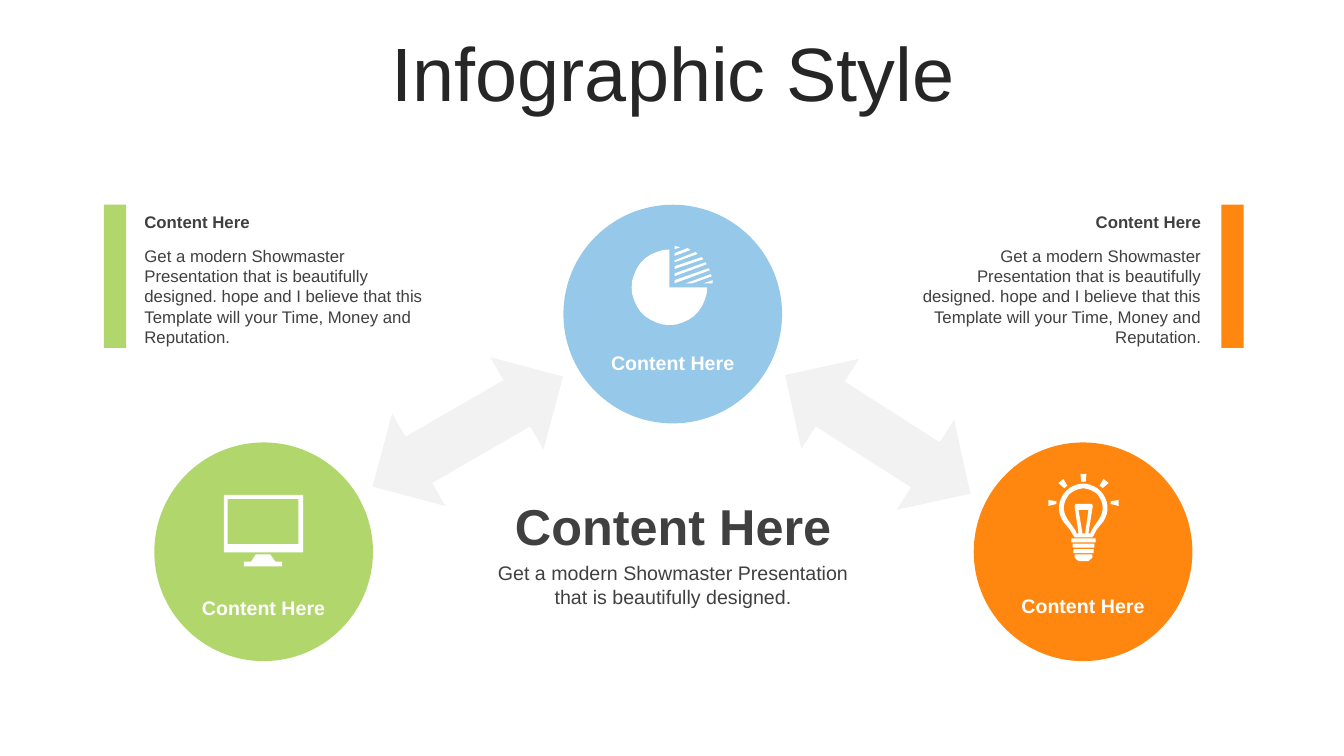
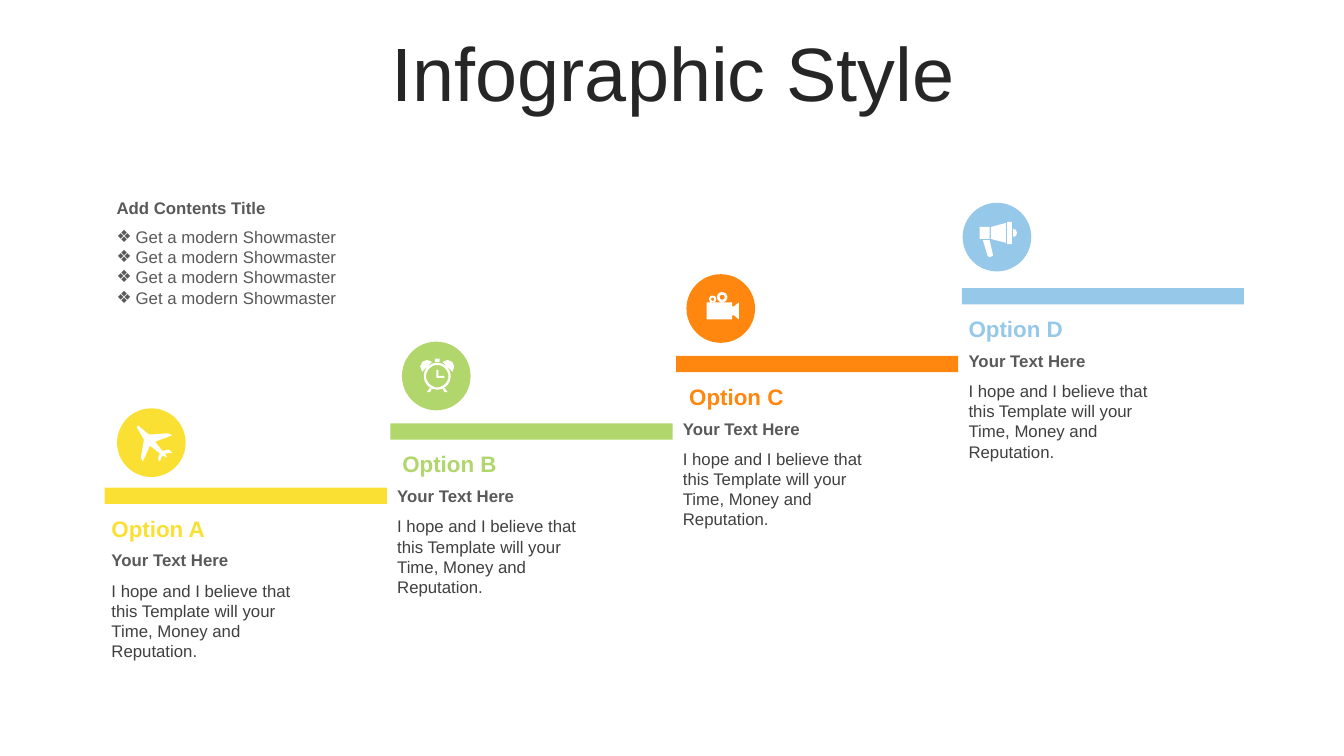
from math import cos, radians, sin

from lxml import etree
from pptx import Presentation
from pptx.dml.color import RGBColor
from pptx.enum.shapes import MSO_SHAPE
from pptx.enum.text import MSO_ANCHOR, PP_ALIGN
from pptx.oxml.ns import qn
from pptx.util import Cm, Pt

RECTANGLE = MSO_SHAPE.RECTANGLE
OVAL = MSO_SHAPE.OVAL
DOUBLE_ARROW = MSO_SHAPE.LEFT_RIGHT_ARROW
TOP = MSO_ANCHOR.TOP
MIDDLE = MSO_ANCHOR.MIDDLE
LEFT = PP_ALIGN.LEFT
CENTER = PP_ALIGN.CENTER
RIGHT = PP_ALIGN.RIGHT

FONT = "Arial"
INK = "262626"
DARK = "404040"
GRAY = "595959"
PALE = "F2F2F2"
WHITE = "FFFFFF"
BLUE = "96C8E9"
GREEN = "B0D66C"
ORANGE = "FF870F"
YELLOW = "FBE034"


def color(value):
    return RGBColor.from_string(value)


def arc(x, y, radius, start=0, end=360, step=10):
    return [(x + radius * cos(radians(angle)), y + radius * sin(radians(angle)))
            for angle in range(start, end + 1, step)]


def rectangle(x, y, width, height):
    return [(x, y), (x + width, y), (x + width, y + height), (x, y + height)]


def mirrored(points, width):
    return [points, [(width - x, y) for x, y in points]]


PIE = [
    arc(94, 104, 95, 0, 270) + [(94, 104)],
    [(203, 86), (203, 94), (180, 94)],
    [(198, 71), (201, 76), (152, 94), (135, 94)],
    [(193, 56), (196, 61), (107, 94), (107, 86)],
    [(185, 41), (188, 46), (107, 76), (107, 69)],
    [(175, 28), (180, 33), (107, 58), (107, 51)],
    [(160, 15), (165, 20), (107, 41), (107, 36)],
    [(140, 5), (147, 10), (107, 25), (107, 18)],
    [(107, 0), (122, 3), (107, 8)],
]
MONITOR = [
    rectangle(0, 0, 200, 145),
    rectangle(10, 10, 178, 114),
    [(81, 150), (117, 150), (130, 168), (147, 168),
     (147, 180), (51, 180), (51, 168), (69, 168)],
]
BULB = [
    arc(91, 86, 61, 135, 405) + [(124, 142), (119, 152), (114, 160),
                                 (69, 160), (64, 152), (58, 142)],
    arc(91, 86, 49, 135, 405) + [(112, 142), (109, 150), (74, 150), (71, 142)],
    [(79, 150), (69, 81), (71, 76), (113, 76), (115, 81), (104, 150)],
    [(79, 91), (89, 150), (96, 150), (104, 91)],
    rectangle(61, 163, 61, 10),
    rectangle(64, 176, 55, 10),
    rectangle(66, 190, 51, 10),
    [(69, 203), (114, 203), (114, 211), (104, 220), (79, 220), (69, 211)],
    [(84, 0), (99, 0), (97, 20), (86, 20)],
    *mirrored([(180, 66), (180, 81), (160, 76), (160, 69)], 183),
    *mirrored([(142, 13), (155, 23), (140, 36), (132, 30)], 183),
]
PLANE = [
    [(89, 69), (71, 71), (76, 81), (64, 76), (58, 91), (53, 84), (58, 71),
     (33, 51), (15, 91), (10, 81), (18, 36), (0, 5), (3, 0), (30, 23),
     (79, 20), (89, 25), (46, 41), (64, 64), (81, 61)],
]
CLOCK = [
    arc(43, 44, 34),
    arc(43, 44, 28),
    [(41, 28), (46, 28), (46, 43), (61, 43), (61, 48), (41, 48)],
    rectangle(37, 0, 12, 8),
    *mirrored([(56, 8), (69, 3), (81, 8), (86, 20), (81, 33)], 86),
    *mirrored([(62, 74), (69, 84), (61, 84), (57, 76)], 86),
]
CAMERA = [
    arc(15, 20, 9),
    arc(15, 20, 4),
    arc(39, 15, 13),
    arc(39, 15, 6),
    rectangle(0, 28, 64, 43),
    [(64, 38), (69, 38), (81, 28), (81, 71), (69, 61), (64, 61)],
]
MEGAPHONE = [
    rectangle(0, 13, 25, 30),
    [(66, 3), (66, 53), (28, 43), (28, 13)],
    rectangle(69, 0, 12, 56),
    [(84, 18), (91, 20), (94, 28), (91, 36), (84, 38)],
    [(8, 46), (25, 46), (33, 81), (33, 86), (25, 89), (20, 86)],
]


class Deck:
    def __init__(self):
        self.deck = Presentation()
        self.deck.slide_width = Cm(33.87)
        self.deck.slide_height = Cm(19.05)
        self.page = None

    def start_page(self, title):
        self.page = self.deck.slides.add_slide(self.deck.slide_layouts[5])
        box = self.page.shapes.title
        box.left, box.top = Cm(0.89), Cm(0.94)
        box.width, box.height = Cm(32.16), Cm(2.01)
        self.set_text(box, [title], 54, INK, align=CENTER, anchor=MIDDLE)
        box.text_frame.paragraphs[0].line_spacing = 0.9

    def set_text(self, box, lines, size, ink, bold=False, align=LEFT, anchor=TOP, bullet=None):
        frame = box.text_frame
        frame.word_wrap = True
        frame.vertical_anchor = anchor
        for index, line in enumerate(lines):
            para = frame.add_paragraph() if index else frame.paragraphs[0]
            para.text = line
            para.alignment = align
            if bullet:
                self.add_bullet(para, bullet)
            para.font.name = FONT
            para.font.size = Pt(size)
            para.font.bold = bold
            para.font.color.rgb = color(ink)

    def add_bullet(self, para, bullet):
        properties = para._p.get_or_add_pPr()
        properties.set("marL", str(Cm(0.48)))
        properties.set("indent", str(-Cm(0.48)))
        etree.SubElement(properties, qn("a:buFont"), typeface=FONT)
        etree.SubElement(properties, qn("a:buChar"), char=bullet)

    def text(self, left, top, width, height, lines, size, ink, **style):
        box = self.page.shapes.add_textbox(Cm(left), Cm(top), Cm(width), Cm(height))
        self.set_text(box, lines, size, ink, **style)

    def paint(self, shape, fill):
        shape.shadow.inherit = False
        shape.fill.solid()
        shape.fill.fore_color.rgb = color(fill)
        shape.line.fill.background()

    def shape(self, kind, left, top, width, height, fill, rotation=0):
        shape = self.page.shapes.add_shape(kind, Cm(left), Cm(top), Cm(width), Cm(height))
        shape.rotation = rotation
        self.paint(shape, fill)

    def icon(self, left, top, outlines):
        builder = self.page.shapes.build_freeform(*outlines[0][0], scale=Cm(0.01))
        for outline in outlines:
            builder.move_to(*outline[0])
            builder.add_line_segments(outline[1:], close=True)
        self.paint(builder.convert_to_shape(Cm(left), Cm(top)), WHITE)

    def save(self):
        self.deck.save("out.pptx")


def add_cycle_page(deck):
    deck.start_page("Infographic Style")
    diameter, label_width = 5.51, 4.17
    for left, top, rotation in ((9.02, 9.53, 330), (19.35, 9.6, 32.6)):
        deck.shape(DOUBLE_ARROW, left, top, 5.54, 2.69, PALE, rotation)
    circles = (
        (14.2, 5.16, BLUE, 3.56, PIE, 15.93, 6.2),
        (3.89, 11.15, GREEN, 3.73, MONITOR, 5.64, 12.47),
        (24.54, 11.15, ORANGE, 3.68, BULB, 26.39, 11.94),
    )
    for left, top, fill, label_drop, outlines, icon_left, icon_top in circles:
        deck.shape(OVAL, left, top, diameter, diameter, fill)
        deck.icon(icon_left, icon_top, outlines)
        deck.text(left + (diameter - label_width) / 2, top + label_drop, label_width, 0.86,
                  ["Content Here"], 14, WHITE, bold=True, align=CENTER, anchor=MIDDLE)

    deck.text(11.96, 12.34, 10.01, 1.8, ["Content Here"], 36, DARK,
              bold=True, align=CENTER, anchor=MIDDLE)
    deck.text(11.96, 14.02, 10.01, 1.45,
              ["Get a modern Showmaster Presentation that is beautifully designed."],
              14, DARK, align=CENTER)

    description = ("Get a modern Showmaster Presentation that is beautifully designed. "
                   "hope and I believe that this Template will your Time, Money and Reputation.")
    for bar_left, text_left, fill, align in ((2.62, 3.39, GREEN, LEFT),
                                             (30.78, 22.87, ORANGE, RIGHT)):
        deck.shape(RECTANGLE, bar_left, 5.16, 0.56, 3.61, fill)
        deck.text(text_left, 5.21, 7.65, 0.76, ["Content Here"], 12, DARK,
                  bold=True, align=align, anchor=MIDDLE)
        deck.text(text_left, 6.07, 7.65, 2.82, [description], 12, DARK, align=align)


def add_steps_page(deck):
    deck.start_page("Infographic Style")
    deck.text(2.69, 4.85, 6.53, 0.76, ["Add Contents Title"], 12, GRAY, bold=True)
    deck.text(2.69, 5.59, 6.53, 2.31, ["Get a modern Showmaster"] * 4, 12, GRAY, bullet="❖")

    steps = (
        ("Option A", YELLOW, 12.29, -0.08, 2.95, 10.29, PLANE, 3.45, 10.72),
        ("Option B", GREEN, 10.67, 0.05, 10.13, 8.61, CLOCK, 10.59, 9.04),
        ("Option C", ORANGE, 8.97, 0.08, 17.3, 6.91, CAMERA, 17.81, 7.34),
        ("Option D", BLUE, 7.26, -0.08, 24.26, 5.11, MEGAPHONE, 24.69, 5.59),
    )
    for index, step in enumerate(steps):
        (name, fill, top, name_shift, circle_left, circle_top,
         outlines, icon_left, icon_top) = step
        left = 2.64 + index * 7.2
        text_left = left - 0.08
        deck.shape(RECTANGLE, left, top, 7.11, 0.41, fill)
        deck.shape(OVAL, circle_left, circle_top, 1.73, 1.73, fill)
        deck.icon(icon_left, icon_top, outlines)
        deck.text(left + name_shift, top + 0.56, 3.35, 0.94, [name], 16, fill, bold=True)
        deck.text(text_left, top + 1.45, 5.28, 0.76, ["Your Text Here"], 12, GRAY, bold=True)
        deck.text(text_left, top + 2.21, 5.33, 2.31,
                  ["I hope and I believe that this Template will your "
                   "Time, Money and Reputation."], 12, DARK)


def main():
    deck = Deck()
    add_cycle_page(deck)
    add_steps_page(deck)
    deck.save()


if __name__ == "__main__":
    main()
